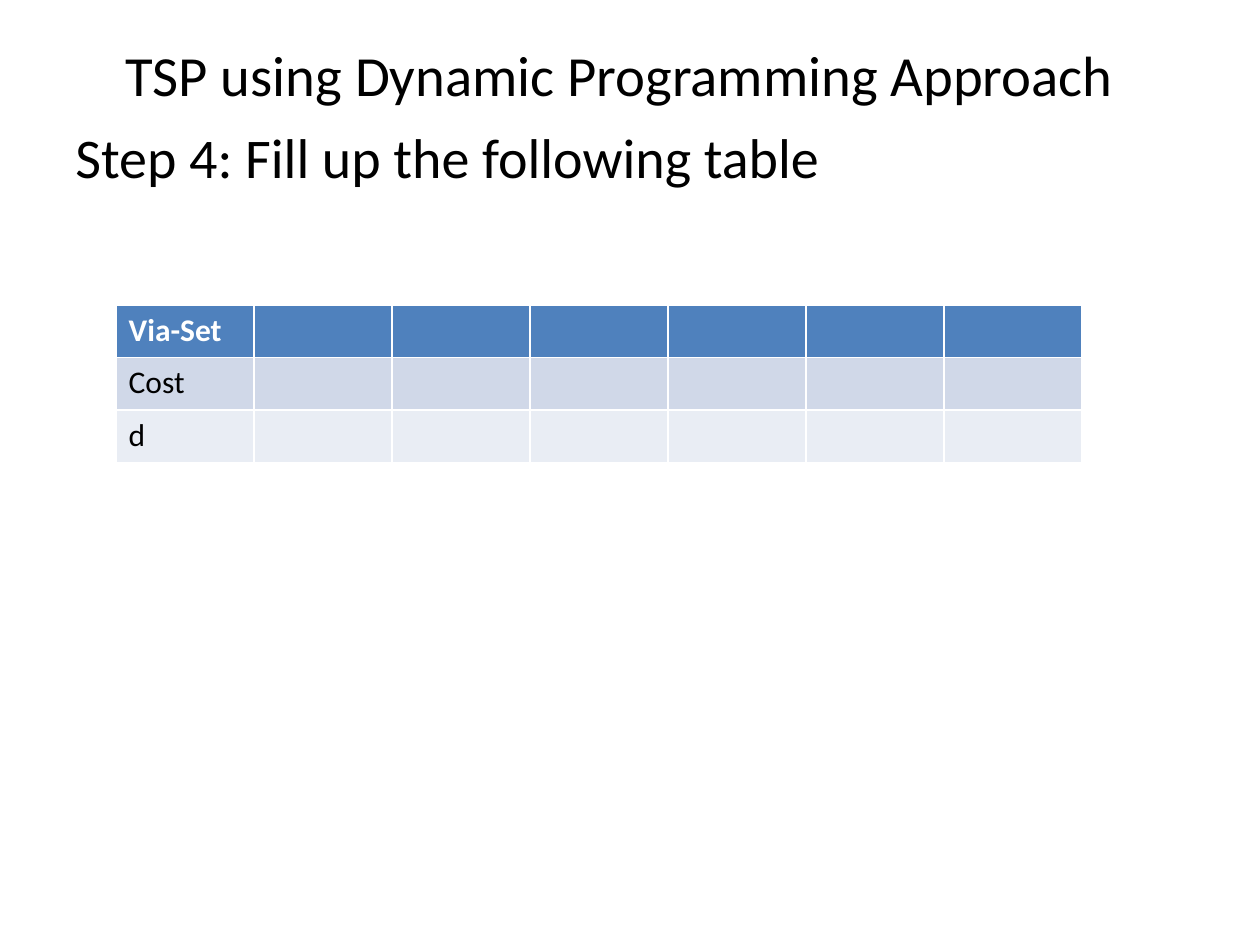
"""Build the slide with the empty table for step 4 of the TSP example."""
from pptx import Presentation
from pptx.dml.color import RGBColor
from pptx.enum.text import MSO_ANCHOR, PP_ALIGN
from pptx.util import Cm, Pt


def style(p, size, color, bold=False):
    """Format the runs of a paragraph."""
    for r in p.runs:
        r.font.name = "Calibri"
        r.font.size = Pt(size)
        r.font.bold = bold
        r.font.color.rgb = RGBColor.from_string(color)


prs = Presentation()
prs.slide_width, prs.slide_height = Cm(25.4), Cm(19.05)
s = prs.slides.add_slide(prs.slide_layouts[5])

title = s.shapes.title
title.left, title.top, title.width, title.height = Cm(1.27), Cm(0.76), Cm(22.86), Cm(1.14)
tf = title.text_frame
tf.text = "TSP using Dynamic Programming Approach"
tf.vertical_anchor = MSO_ANCHOR.MIDDLE
tf.margin_right = Cm(0.68)
tf.margin_top = Cm(0.45)
tf.paragraphs[0].alignment = PP_ALIGN.CENTER
style(tf.paragraphs[0], 32.4, "000000")

step = s.shapes.add_textbox(Cm(1.27), Cm(2.34), Cm(22.86), Cm(15.67))
tf = step.text_frame
tf.word_wrap = True
tf.text = "Step 4: Fill up the following table"
style(tf.paragraphs[0], 32, "000000")

rows = [
    ("Via-Set", "4F81BD", "FFFFFF", True),
    ("Cost", "D0D8E8", "000000", False),
    ("d", "E9EDF4", "000000", False),
]
table = s.shapes.add_table(len(rows), 7, Cm(2.34), Cm(6.15), Cm(19.47), Cm(3.18)).table
for row, (label, fill, color, bold) in zip(table.rows, rows):
    for cell in row.cells:
        cell.fill.solid()
        cell.fill.fore_color.rgb = RGBColor.from_string(fill)
    row.cells[0].text = label
    style(row.cells[0].text_frame.paragraphs[0], 18, color, bold)

prs.save("out.pptx")
